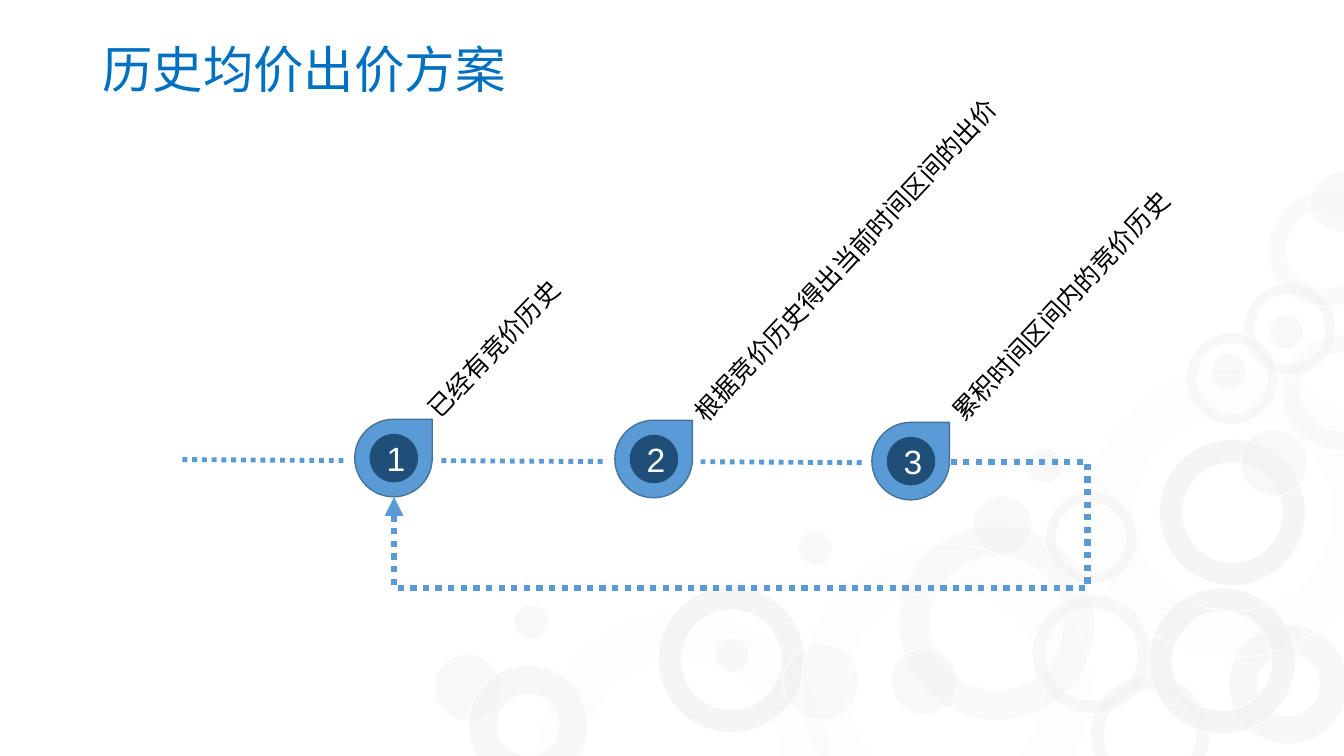
from dataclasses import dataclass

from lxml.etree import SubElement
from pptx import Presentation
from pptx.dml.color import RGBColor as RGB
from pptx.enum.dml import MSO_LINE as Dash
from pptx.enum.shapes import MSO_CONNECTOR as Link, MSO_SHAPE as Shape
from pptx.enum.text import MSO_ANCHOR as Anchor, MSO_AUTO_SIZE as Fit, PP_ALIGN as Align
from pptx.oxml.ns import qn
from pptx.util import Pt


@dataclass(frozen=True)
class Theme:
    title: RGB = RGB(0x00, 0x70, 0xC0)
    text: RGB = RGB(0, 0, 0)
    white: RGB = RGB(255, 255, 255)
    bubble: RGB = RGB(0xF2, 0xF2, 0xF2)
    drop: RGB = RGB(0x5B, 0x9B, 0xD5)
    drop_edge: RGB = RGB(0x43, 0x73, 0x9E)
    core: RGB = RGB(0x1F, 0x4E, 0x79)
    text_font: str = "Calibri"
    number_font: str = "Arial"
    title_size: int = 36
    label_size: int = 18
    number_size: int = 24


# Bubble kinds: ring thickness (None for a full disc), opacity in percent
BUBBLES = {
    "heavy": (0.159, 75), "medium": (0.159, 42), "light": (0.159, 31),
    "faint": (0.159, 13), "thin": (0.117, 54), "thick": (0.24, 54),
    "disc": (None, 47), "pale disc": (None, 39),
}

# Bubble clusters by rotation: kind, left, top, diameter
CLUSTERS = {
    101.7: [
        ("heavy", 828, 313.9, 104.4), ("light", 915.8, 239, 82.1),
        ("faint", 384.5, 437, 206.6), ("thin", 779, 482.4, 85),
        ("thin", 888.5, 202.3, 65.5), ("disc", 886.3, 306.7, 47.5),
        ("disc", 865.4, 252.7, 24.5),
    ],
    341.7: [
        ("medium", 642.2, 375.1, 139.7), ("heavy", 470.2, 419, 104.4),
        ("pale disc", 559.4, 460.1, 54), ("disc", 694.8, 354.2, 42.5),
        ("faint", 572.4, 388.8, 206.6), ("thin", 737.3, 424.8, 85),
        ("thin", 746.6, 351.4, 65.5), ("thick", 877.7, 446.4, 85),
        ("disc", 570.2, 379.4, 24.5), ("disc", 310.3, 467.3, 47.5),
        ("disc", 510.5, 455.8, 24.5), ("disc", 734.4, 320.4, 24.5),
    ],
    176.7: [
        ("heavy", 820.8, 419.8, 104.4), ("light", 905.8, 136.8, 82.1),
        ("disc", 936, 123.1, 42.5), ("faint", 777.6, 262.8, 206.6),
        ("thin", 847.4, 237.6, 65.5), ("thick", 334.8, 475.2, 85),
        ("disc", 906.5, 224.6, 24.5), ("disc", 636.5, 463, 47.5),
        ("disc", 367.2, 432, 24.5),
    ],
}

# Steps: drop left and top, label, label left, top and width, label rotation
STEPS = [
    (253.4, 299.5, "已经有竞价历史", 282.2, 234, 141.8, 313.6),
    (439.2, 300.2, "根据竞价历史得出当前时间区间的出价", 441.4, 165.6, 335.5, 313.1),
    (622.8, 301.7, "累积时间区间内的竞价历史", 642.2, 203, 232.6, 313.1),
]


class Painter:
    def __init__(self, slide, theme):
        self.shapes = slide.shapes
        self.theme = theme

    def solid(self, preset, left, top, size, color, edge=None):
        shape = self.shapes.add_shape(preset, Pt(left), Pt(top), Pt(size), Pt(size))
        shape.shadow.inherit = False
        shape.fill.solid()
        shape.fill.fore_color.rgb = color
        if edge is None:
            shape.line.fill.background()
        else:
            shape.line.color.rgb = edge
            shape.line.width = Pt(1)
        return shape

    def bubble(self, kind, left, top, size, rotation):
        thickness, opacity = BUBBLES[kind]
        preset = Shape.DONUT if thickness else Shape.OVAL
        bubble = self.solid(preset, left, top, size, self.theme.bubble, self.theme.white)
        if thickness:
            bubble.adjustments[0] = thickness
        bubble.rotation = rotation
        colors = bubble.element.spPr.iter(qn("a:srgbClr"))
        for color, percent in zip(colors, (opacity, 70)):
            SubElement(color, qn("a:alpha"), val=str(percent * 1000))

    def set_text(self, frame, words, size, color, font):
        frame.text = words
        paragraph = frame.paragraphs[0]
        paragraph.font.size = Pt(size)
        paragraph.font.color.rgb = color
        paragraph.font.name = font
        return paragraph

    def title(self, words, left, top, width, height):
        box = self.shapes.add_textbox(Pt(left), Pt(top), Pt(width), Pt(height))
        box.text_frame.word_wrap = True
        heading = self.set_text(box.text_frame, words, self.theme.title_size,
                                self.theme.title, self.theme.text_font)
        heading.line_spacing = 0.9

    def label(self, words, left, top, width, rotation):
        box = self.shapes.add_textbox(Pt(left), Pt(top), Pt(width), Pt(28.8))
        box.rotation = rotation
        box.text_frame.word_wrap = False
        box.text_frame.auto_size = Fit.SHAPE_TO_FIT_TEXT
        self.set_text(box.text_frame, words, self.theme.label_size,
                      self.theme.text, self.theme.text_font)

    def marker(self, number, left, top):
        self.solid(Shape.TEAR, left, top, 55.4, self.theme.drop, self.theme.drop_edge)
        core = self.solid(Shape.OVAL, left + 10.6, top + 10.4, 34.6, self.theme.core)
        core.text_frame.vertical_anchor = Anchor.MIDDLE
        digit = self.set_text(core.text_frame, str(number), self.theme.number_size,
                              self.theme.white, self.theme.number_font)
        digit.alignment = Align.CENTER

    def dotted(self, kind, start, end, weight):
        link = self.shapes.add_connector(kind, *map(Pt, start + end))
        link.line.color.rgb = self.theme.drop
        link.line.width = Pt(weight)
        link.line.dash_style = Dash.ROUND_DOT
        SubElement(link.element.spPr, qn("a:effectLst"))
        return link

    def loop_arrow(self, start, end, bends):
        loop = self.dotted(Link.ELBOW, start, end, 4.5)
        properties = loop.element.spPr
        SubElement(properties.find(qn("a:ln")), qn("a:tailEnd"), type="triangle")
        # The bends take the route around the outside of the steps
        outline = properties.find(qn("a:prstGeom"))
        outline.set("prst", "bentConnector4")
        guides = outline.find(qn("a:avLst"))
        if guides is None:
            guides = SubElement(outline, qn("a:avLst"))
        for index, bend in enumerate(bends, 1):
            SubElement(guides, qn("a:gd"), name=f"adj{index}", fmla=f"val {bend}")


def main():
    deck = Presentation()
    deck.slide_width, deck.slide_height = Pt(960), Pt(540)
    painter = Painter(deck.slides.add_slide(deck.slide_layouts[6]), Theme())

    # Background bubbles
    for rotation, cluster in CLUSTERS.items():
        for kind, left, top, size in cluster:
            painter.bubble(kind, left, top, size, rotation)

    painter.title("历史均价出价方案", 66, 28.8, 828, 104.4)

    # Timeline steps, each led in by a dotted line
    for index, (left, top, words, *label_place) in enumerate(STEPS):
        line_left, line_top = 130.3 + 185.05 * index, 328.3 + 0.75 * index
        painter.dotted(Link.STRAIGHT, (line_left, line_top),
                       (line_left + 117.4, line_top + 0.7), 3.5)
        painter.marker(index + 1, left, top)
        painter.label(words, *label_place)

    # Return route from the last step to the first
    painter.loop_arrow((679, 329.8), (281.5, 355), (-24600, 357300))

    deck.save("out.pptx")


if __name__ == "__main__":
    main()
